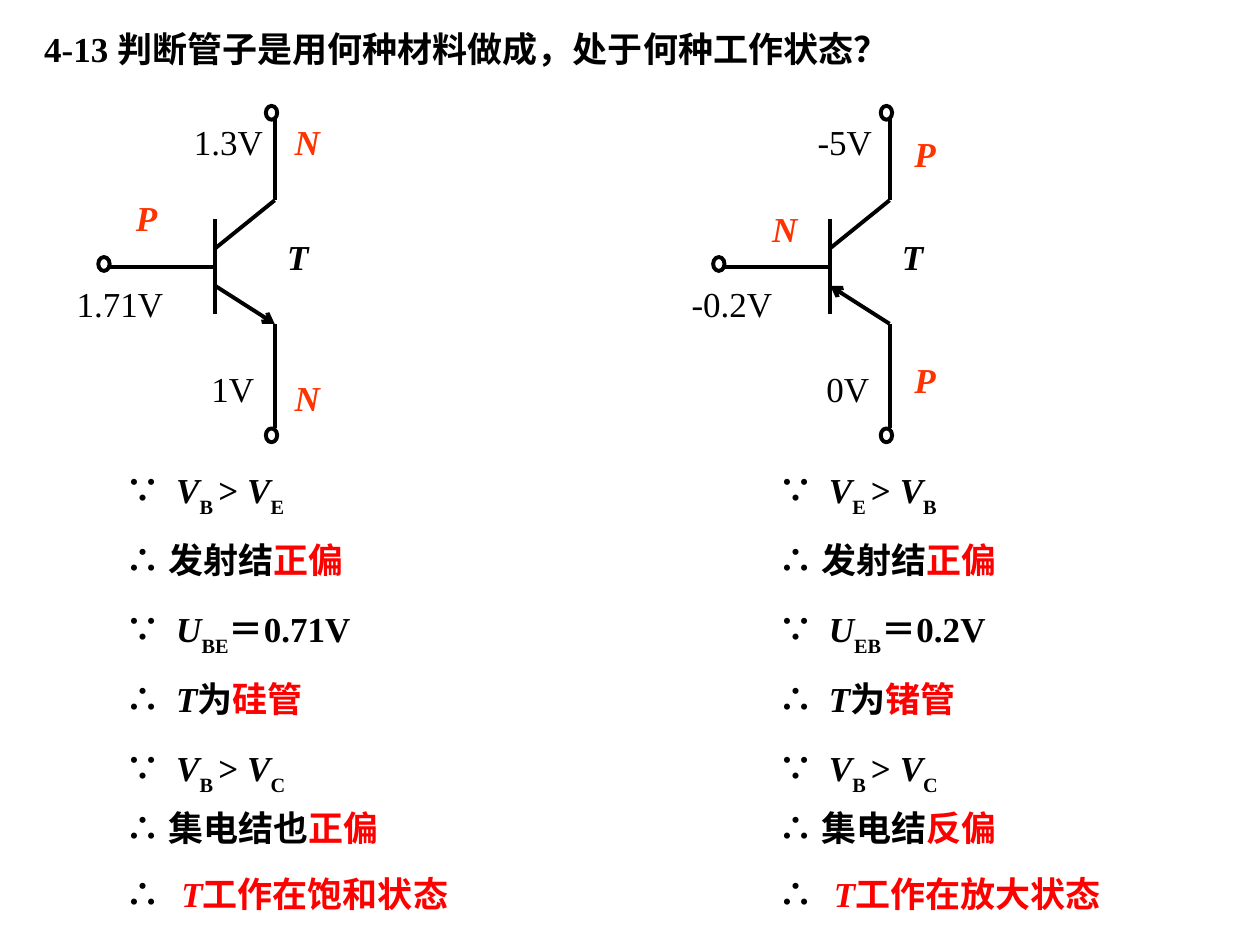
from lxml import etree
from pptx import Presentation
from pptx.dml.color import RGBColor
from pptx.enum.shapes import MSO_CONNECTOR, MSO_SHAPE
from pptx.enum.text import MSO_ANCHOR, MSO_AUTO_SIZE, PP_ALIGN
from pptx.oxml.ns import qn
from pptx.util import Inches, Pt

STRAIGHT = MSO_CONNECTOR.STRAIGHT
OVAL = MSO_SHAPE.OVAL
GROW = MSO_AUTO_SIZE.SHAPE_TO_FIT_TEXT
TOP = MSO_ANCHOR.TOP
JUSTIFY = PP_ALIGN.JUSTIFY

THEME = {
    "ink": RGBColor(0, 0, 0),
    "paper": RGBColor(255, 255, 255),
    "region": RGBColor(0xFF, 0x33, 0x00),
    "answer": RGBColor(0xFF, 0, 0),
    "latin": "Times New Roman",
    "cjk": "Noto Sans CJK SC",
    "size": Pt(20),
    "wide": Pt(24),
    "line": Pt(2.25),
}

prs = Presentation()
prs.slide_width, prs.slide_height = Inches(10), Inches(7.5)
COL, ROW = prs.slide_width / 100, prs.slide_height / 75
s = prs.slides.add_slide(prs.slide_layouts[5])


def place(sp, x, y, w, h):
    sp.left, sp.top = round(x * COL), round(y * ROW)
    sp.width, sp.height = round(w * COL), round(h * ROW)


# Style letters: b bold, i italic, s subscript, c CJK font, g region, a answer, w wide
def write(sp, runs, tab=None):
    tf = sp.text_frame
    tf.word_wrap = True
    tf.auto_size = GROW
    tf.vertical_anchor = TOP
    p = tf.paragraphs[0]
    if tab:
        tabs = etree.SubElement(p._p.get_or_add_pPr(), qn("a:tabLst"))
        etree.SubElement(tabs, qn("a:tab"), pos=str(round(tab * COL)), algn="l")
    for text, style in runs:
        r = p.add_run()
        r.text = text
        r.font.size = THEME["wide" if "w" in style else "size"]
        r.font.bold = "b" in style
        r.font.italic = "i" in style
        r.font.name = THEME["cjk" if "c" in style else "latin"]
        color = "region" if "g" in style else "answer" if "a" in style else "ink"
        r.font.color.rgb = THEME[color]
        rPr = r._r.get_or_add_rPr()
        etree.SubElement(rPr, qn("a:ea"), typeface=THEME["cjk"])
        if "s" in style:
            rPr.set("baseline", "-30000")


title = s.shapes.title
place(title, 2.5, 1.7, 77.5, 4.4)
write(title, [("4-13 判断管子是用何种材料做成，处于何种工作状态？", "b")])
title.text_frame.paragraphs[0].alignment = JUSTIFY

WIRES = [
    (8.5, 21.2, 17.1, 21.2),
    (17.1, 17.4, 17.1, 24.9),
    (17.1, 19.7, 21.8, 15.9),
    (17.1, 22.7, 21.8, 25.7),
    (21.8, 15.9, 21.8, 9.1),
    (21.8, 25.7, 21.8, 34),
]
EMITTER = WIRES[3]
TERMINALS = [(7.8, 20.4), (21.1, 34), (21.1, 8.4)]
CIRCUITS = [
    (0, "a:tailEnd", [
        ("1.3V", "", 14.4, 9.1), ("1.71V", "", 5.1, 21.9), ("1V", "", 15.8, 28.7),
        ("N", "big", 22.4, 9.1), ("N", "big", 22.4, 29.4), ("P", "big", 9.8, 15.1),
    ]),
    (48.8, "a:headEnd", [
        ("-5V", "", 15.1, 9.1), ("-0.2V", "", 5.1, 21.9), ("0V", "", 15.8, 28.7),
        ("P", "big", 22.8, 28), ("P", "big", 22.8, 10), ("N", "big", 11.5, 16),
    ]),
]
for dx, arrow_end, labels in CIRCUITS:
    circuit = s.shapes.add_group_shape().shapes
    for wire in WIRES:
        x1, y1, x2, y2 = wire
        line = circuit.add_connector(
            STRAIGHT, round((x1 + dx) * COL), round(y1 * ROW),
            round((x2 + dx) * COL), round(y2 * ROW))
        line.line.color.rgb = THEME["ink"]
        line.line.width = THEME["line"]
        if wire == EMITTER:
            etree.SubElement(line.line._get_or_add_ln(), qn(arrow_end), type="arrow")
        etree.SubElement(line._element.spPr, qn("a:effectLst"))
    for x, y in TERMINALS:
        terminal = circuit.add_shape(OVAL, 0, 0, 0, 0)
        place(terminal, x + dx, y, 0.9, 1.1)
        terminal.shadow.inherit = False
        terminal.fill.solid()
        terminal.fill.fore_color.rgb = THEME["paper"]
        terminal.line.color.rgb = THEME["ink"]
        terminal.line.width = THEME["line"]
    for text, style, x, y in labels + [("T", "bi", 21.8, 18.2)]:
        label = circuit.add_textbox(0, 0, 0, 0)
        place(label, x + dx, y, 5.3 if "g" in style else 10.7, 4.4)
        write(label, [(text, style)])

STEP_ROWS = [36.7 + 5.52 * i for i in range(5)] + [63.5, 68.2]
NEAR, FAR, LAST = 3.4, 4, 4.4
CASES = [
    (9, "B", "E", "BE", "0.71V", "硅管", "集电结也", "正偏", "工作在饱和状态"),
    (60.8, "E", "B", "EB", "0.2V", "锗管", "集电结", "反偏", "工作在放大状态"),
]
for x, high, low, pair, volts, material, junction, bias, state in CASES:
    steps = [
        ("∵", FAR, [("V", "bi"), (high + " ", "bs"), ("> ", "b"), ("V", "bi"), (low, "bs")]),
        ("∴", NEAR, [("发射结", "b"), ("正偏", "ba")]),
        ("∵", FAR, [("U", "bi"), (pair, "bs"), ("＝", "bc"), (volts, "b")]),
        ("∴", FAR, [("T", "bi"), ("为", "b"), (material, "ba")]),
        ("∵", FAR, [("V", "bi"), ("B ", "bs"), ("> ", "b"), ("V", "bi"), ("C", "bs")]),
        ("∴", NEAR, [(junction, "b"), (bias, "ba")]),
        ("∴", LAST, [("T", "bia"), (state, "ba")]),
    ]
    for y, (sign, tab, runs) in zip(STEP_ROWS, steps):
        step = s.shapes.add_textbox(0, 0, 0, 0)
        place(step, x, y, 39.2, 4.4 if tab == NEAR else 5)
        gap = ("\t", "bw" if tab == LAST else "b")
        write(step, [(sign, "bc"), gap] + runs, tab)

prs.save("out.pptx")
